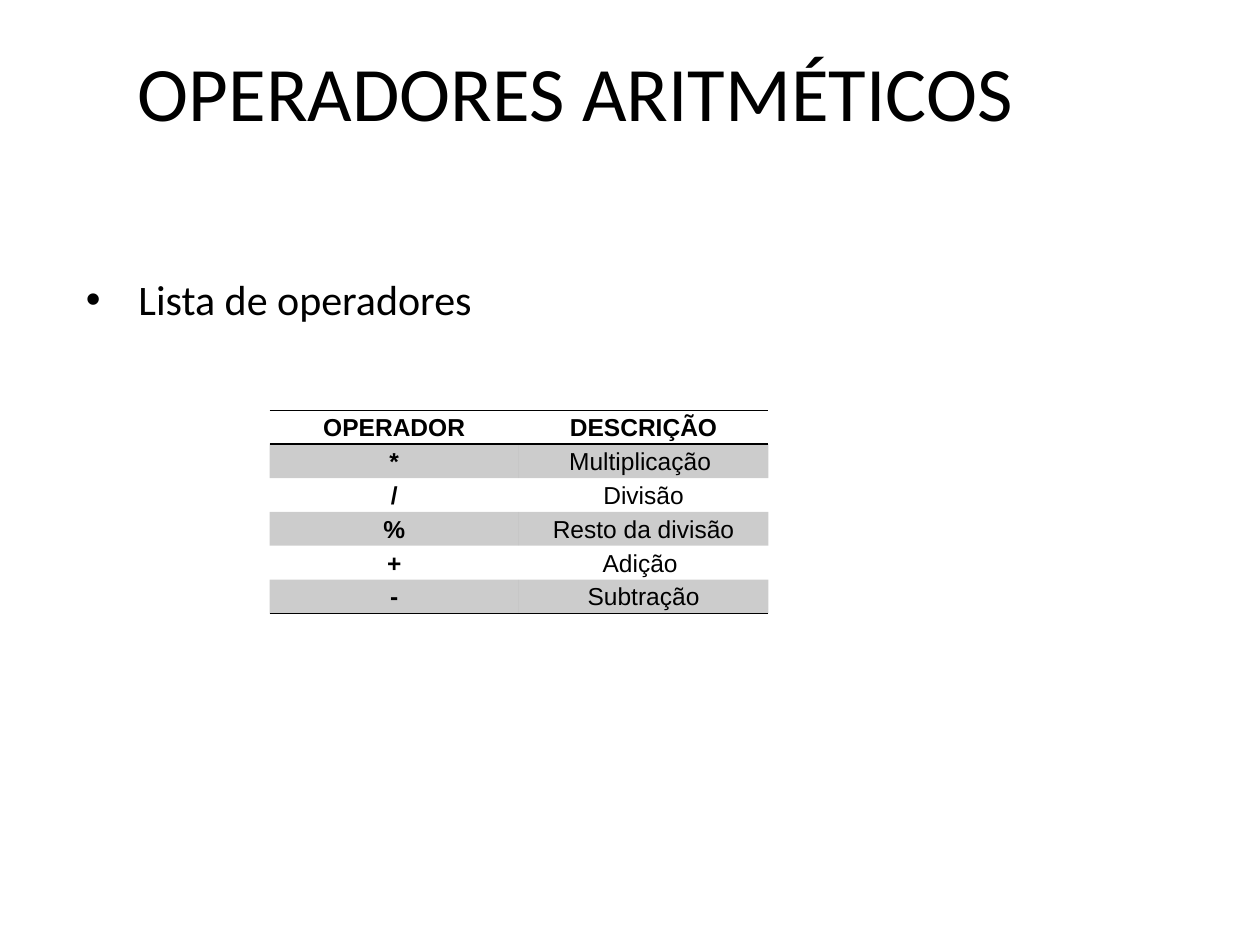
from dataclasses import dataclass

from lxml import etree
from pptx import Presentation
from pptx.dml.color import RGBColor
from pptx.enum import text as t
from pptx.oxml import ns
from pptx.util import Pt

BLACK = "000000"
NO_STYLE = "{2D5ABB26-0587-4C30-8999-92F81FD0307C}"


@dataclass
class Operator:
    symbol: str
    description: str


@dataclass
class TextStyle:
    font: str
    size: float
    bold: bool = False
    color: str = BLACK


OPERATORS = [
    Operator("*", "Multiplicação "),
    Operator("/", "Divisão"),
    Operator("%", "Resto da divisão"),
    Operator("+", "Adição "),
    Operator("-", "Subtração"),
]


def rgb(value: str) -> RGBColor:
    return RGBColor.from_string(value)


def add_run(paragraph, content: str, style: TextStyle) -> None:
    run = paragraph.add_run()
    run.text = content
    run.font.name = style.font
    run.font.size = Pt(style.size)
    run.font.bold = style.bold
    run.font.color.rgb = rgb(style.color)


def add_element(parent, tag: str, **attributes: str):
    return etree.SubElement(parent, ns.qn(tag), attributes)


def add_border(cell, side: str) -> None:
    line = etree.Element(ns.qn(f"a:{side}"), w=str(Pt(1)))
    fill = add_element(line, "a:solidFill")
    add_element(fill, "a:srgbClr", val=BLACK)
    cell._tc.get_or_add_tcPr().insert(0, line)


def fill_band(cell) -> None:
    """Shade a cell with black at 20 % opacity."""
    cell.fill.solid()
    cell.fill.fore_color.rgb = rgb(BLACK)
    color = cell._tc.tcPr.find(".//" + ns.qn("a:srgbClr"))
    add_element(color, "a:alpha", val="20000")


def write_cell(cell, content: str, bold: bool) -> None:
    cell.margin_left = cell.margin_right = Pt(5)
    cell.margin_top = cell.margin_bottom = 0
    paragraph = cell.text_frame.paragraphs[0]
    paragraph.alignment = t.PP_ALIGN.CENTER
    paragraph.line_spacing = 1.15
    add_run(paragraph, content, TextStyle("Arial", 14, bold))


def add_title(slide) -> None:
    title = slide.shapes.title
    title.left, title.top, title.width, title.height = Pt(36), Pt(22), Pt(586), Pt(90)
    title.text_frame.vertical_anchor = t.MSO_ANCHOR.TOP
    title.text_frame.auto_size = t.MSO_AUTO_SIZE.NONE
    paragraph = title.text_frame.paragraphs[0]
    paragraph.alignment = t.PP_ALIGN.CENTER
    add_run(paragraph, "OPERADORES ARITMÉTICOS", TextStyle("Calibri", 44))


def add_bullet(slide) -> None:
    body = slide.shapes.add_textbox(Pt(36), Pt(148.5), Pt(586), Pt(322.5))
    body.text_frame.word_wrap = True
    paragraph = body.text_frame.paragraphs[0]
    paragraph.alignment = t.PP_ALIGN.JUSTIFY
    paragraph.line_spacing = 1.15
    add_run(paragraph, "Lista de operadores", TextStyle("Calibri", 24))
    properties = paragraph._p.get_or_add_pPr()
    properties.set("marL", str(Pt(36)))
    properties.set("indent", str(Pt(-30)))
    bullet_color = add_element(properties, "a:buClr")
    add_element(bullet_color, "a:srgbClr", val=BLACK)
    add_element(properties, "a:buFont", typeface="Arial")
    add_element(properties, "a:buChar", char="•")


def add_operator_table(slide, operators: list[Operator]) -> None:
    rows = [Operator("OPERADOR", "DESCRIÇÃO"), *operators]
    row_height = Pt(18.25)
    frame = slide.shapes.add_table(
        len(rows), 2, Pt(154), Pt(234.5), Pt(285), row_height * len(rows))
    table = frame.table
    table.first_row = table.horz_banding = False
    table._tbl.tblPr.find(ns.qn("a:tableStyleId")).text = NO_STYLE

    for index, operator in enumerate(rows):
        table.rows[index].height = row_height
        is_header = index == 0
        for column, content in enumerate((operator.symbol, operator.description)):
            cell = table.cell(index, column)
            write_cell(cell, content, bold=is_header or column == 0)
            if index % 2:
                fill_band(cell)
            else:
                cell.fill.background()
            # Rules frame the header and close the table
            if is_header or index == len(rows) - 1:
                add_border(cell, "lnB")
            if is_header:
                add_border(cell, "lnT")


def main() -> None:
    presentation = Presentation()
    presentation.slide_width, presentation.slide_height = Pt(720), Pt(540)
    slide = presentation.slides.add_slide(presentation.slide_layouts[5])
    add_title(slide)
    add_bullet(slide)
    add_operator_table(slide, OPERATORS)
    presentation.save("out.pptx")


if __name__ == "__main__":
    main()
